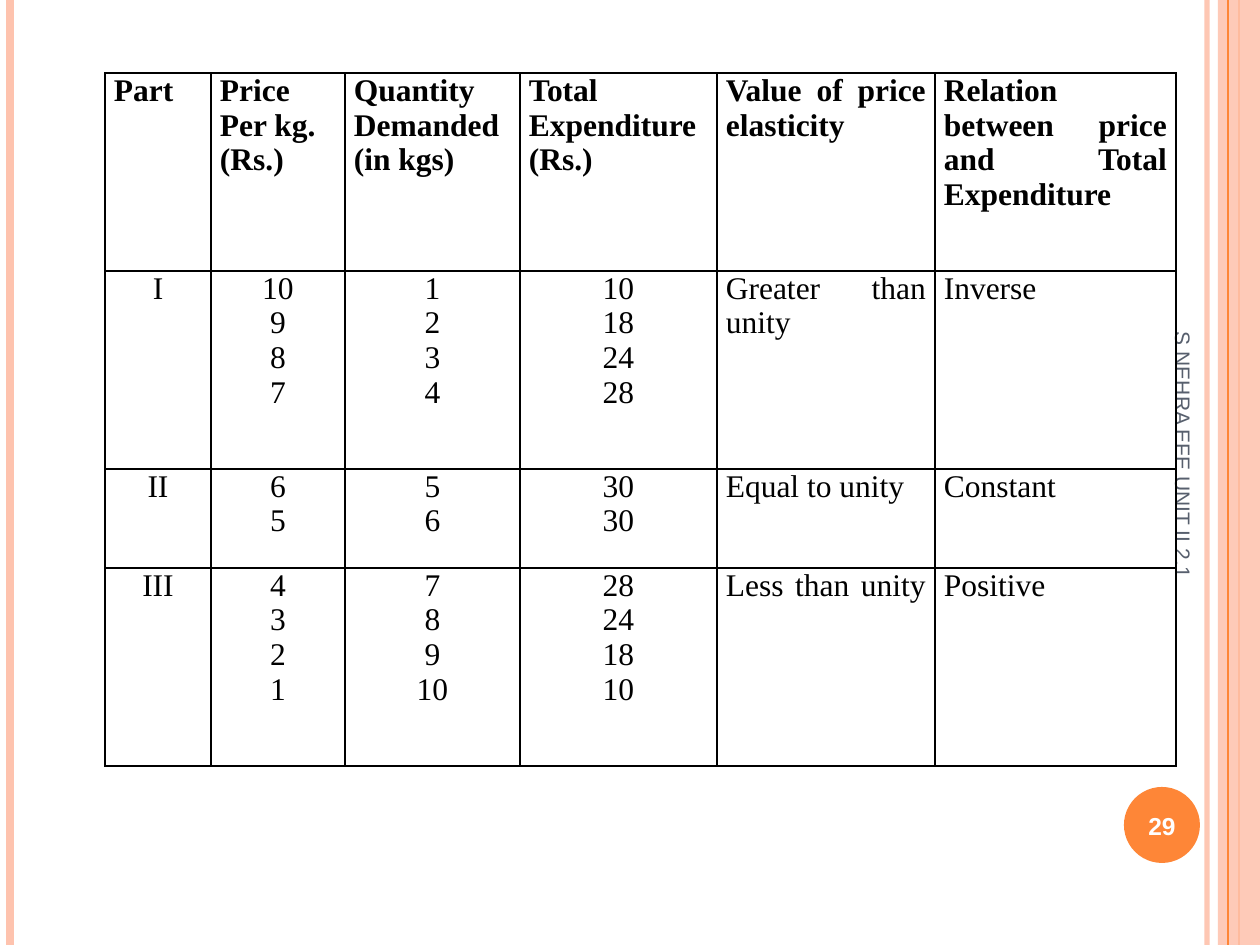
"""Build a slide with a table relating price, total expenditure and elasticity."""
import pptx
import pptx.dml.color
import pptx.enum.shapes
import pptx.enum.text
import pptx.oxml
import pptx.oxml.ns
import pptx.util
from dataclasses import dataclass

SCALE = 914400 // 126
ALIGN = pptx.enum.text.PP_ALIGN
SHAPES = pptx.enum.shapes.MSO_SHAPE
NAMESPACE = pptx.oxml.ns.nsdecls("a")


@dataclass
class Theme:
    peach: str = "FEC3AE"
    orange: str = "FE8637"
    slate: str = "575F6D"
    white: str = "FFFFFF"
    black: str = "000000"
    sans: str = "Arial"
    serif: str = "Times New Roman"
    footer: int = 12
    number: int = 14
    table: int = 18


theme = Theme()


def rgb(code):
    return pptx.dml.color.RGBColor.from_string(code)


def write(frame, text, font=theme.sans, size=theme.table, color=theme.black, bold=False, align=ALIGN.LEFT):
    frame.word_wrap = True
    for index, line in enumerate(text.split("\n")):
        para = frame.add_paragraph() if index else frame.paragraphs[0]
        para.alignment = align
        span = para.add_run()
        span.text = line
        span.font.name = font
        span.font.size = pptx.util.Pt(size)
        span.font.bold = bold
        span.font.color.rgb = rgb(color)


deck = pptx.Presentation()
deck.slide_width = 1260 * SCALE
deck.slide_height = 945 * SCALE
page = deck.slides.add_slide(deck.slide_layouts[6])
page.background.fill.solid()
page.background.fill.fore_color.rgb = rgb(theme.white)

decorations = [
    ("line", 1207, theme.peach, 3, 93),
    ("line", 10, theme.peach, 4.5, 100),
    ("line", 1239, theme.orange, 1.5, 100),
    ("band", (1218, 0, 42, 945), theme.peach, SHAPES.RECTANGLE, 87),
    ("line", 1228, theme.orange, 0.75, 100),
    ("disc", (1124, 787, 76, 76), theme.orange, SHAPES.OVAL, 100),
]
for kind, place, color, detail, opacity in decorations:
    if kind == "line":
        x = place * SCALE
        item = page.shapes.add_connector(pptx.enum.shapes.MSO_CONNECTOR.STRAIGHT, x, 0, x, deck.slide_height)
        item.line.width = pptx.util.Pt(detail)
        item.line.color.rgb = rgb(color)
        item._element.spPr.append(pptx.oxml.parse_xml(f"<a:effectLst {NAMESPACE}/>"))
    else:
        item = page.shapes.add_shape(detail, *[length * SCALE for length in place])
        item.shadow.inherit = False
        item.fill.solid()
        item.fill.fore_color.rgb = rgb(color)
        item.line.fill.background()
    if opacity < 100:
        tint = item._element.spPr.find(".//" + pptx.oxml.ns.qn("a:srgbClr"))
        tint.append(pptx.oxml.parse_xml(f'<a:alpha {NAMESPACE} val="{opacity * 1000}"/>'))

captions = [
    ("S NEHRA EFE UNIT II 2.1", (963, 515, 441, 50), 90,
     dict(size=theme.footer, color=theme.slate)),
    ("29", (1120, 790, 84, 72), 0,
     dict(size=theme.number, color=theme.white, bold=True, align=ALIGN.CENTER)),
]
for text, place, rotation, style in captions:
    box = page.shapes.add_textbox(*[length * SCALE for length in place])
    box.rotation = rotation
    box.text_frame.vertical_anchor = pptx.enum.text.MSO_ANCHOR.MIDDLE
    write(box.text_frame, text, **style)

rows = [
    ["Part ", "Price\nPer kg.\n(Rs.)", "Quantity Demanded \n(in kgs)", "Total Expenditure \n(Rs.) ",
     "Value of price elasticity", "Relation between price and Total Expenditure "],
    ["I", "10\n9\n8\n7", "1\n2\n3\n4", "10\n18\n24\n28", "Greater than unity ", "Inverse "],
    ["II", "6\n5", "5\n6", "30\n30", "Equal to unity ", "Constant "],
    ["III", "4\n3\n2\n1", "7\n8\n9\n10", "28\n24\n18\n10", "Less than unity ", "Positive "],
]
widths = [106, 134, 175, 197, 218, 241]
heights = [198, 198, 99, 198]
grid = page.shapes.add_table(
    len(rows), len(widths), 105 * SCALE, 73 * SCALE, sum(widths) * SCALE, sum(heights) * SCALE
).table
grid.first_row = False
grid.horz_banding = False
for column, width in zip(grid.columns, widths):
    column.width = width * SCALE
for row, height in zip(grid.rows, heights):
    row.height = height * SCALE
for row_index, texts in enumerate(rows):
    for column_index, text in enumerate(texts):
        cell = grid.cell(row_index, column_index)
        cell.margin_left = cell.margin_right = 9 * SCALE
        cell.margin_top = cell.margin_bottom = 0
        header = row_index == 0
        align = ALIGN.JUSTIFY if header or column_index > 3 else ALIGN.CENTER
        write(cell.text_frame, text, font=theme.serif, bold=header, align=align)
        properties = cell._tc.get_or_add_tcPr()
        for side in ("lnL", "lnR", "lnT", "lnB"):
            properties.append(pptx.oxml.parse_xml(
                f'<a:{side} {NAMESPACE} w="12700"><a:solidFill><a:srgbClr val="{theme.black}"/>'
                f"</a:solidFill></a:{side}>"))
        cell.fill.background()

deck.save("out.pptx")
